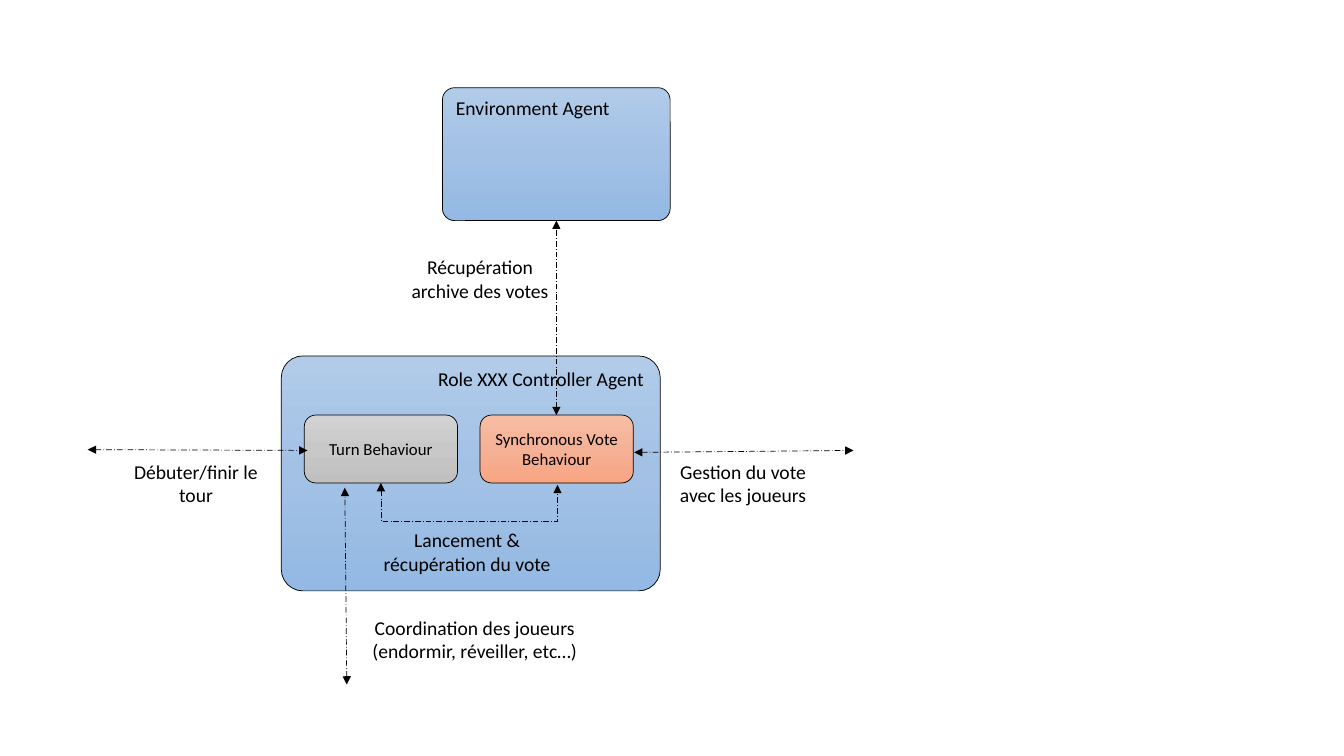
from collections import namedtuple
from copy import deepcopy

from lxml.etree import SubElement
from pptx import Presentation
from pptx.dml.color import RGBColor
from pptx.enum.dml import MSO_LINE_DASH_STYLE as Dash
from pptx.enum.shapes import MSO_CONNECTOR as Connector, MSO_SHAPE as Shape
from pptx.enum.text import MSO_ANCHOR as Anchor, PP_ALIGN as Align
from pptx.oxml.ns import qn
from pptx.util import Cm, Pt

Box = namedtuple("Box", "left top width height")  # centimetres

BLUE = ("B1CBE9", "A3C1E5", "93B9E4")
GREY = ("D2D2D2", "C8C8C8", "C0C0C0")
ORANGE = ("F7BDA5", "F5B196", "F8A582")
BLACK = "000000"
AGENT_CORNER = 0.092
BEHAVIOUR_CORNER = 0.167


def colour(value):
    return RGBColor.from_string(value)


def write(shape, text, size, align, anchor):
    frame = shape.text_frame
    frame.word_wrap = True
    frame.vertical_anchor = anchor
    frame.text = text
    para = frame.paragraphs[0]
    para.alignment = align
    for span in para.runs:
        span.font.name = "Calibri"
        span.font.size = Pt(size)
        span.font.color.rgb = colour(BLACK)


def fill_gradient(shape, colours):
    """Shade from top to bottom through three evenly spaced colours."""
    shape.fill.gradient()
    shape.fill.gradient_angle = 270
    first = shape.element.find(".//" + qn("a:gs"))
    first.addnext(deepcopy(first))
    for index, (stop, value) in enumerate(zip(shape.fill.gradient_stops, colours)):
        stop.color.rgb = colour(value)
        stop.position = index / 2


def add_panel(page, box, colours, corner, text, size, align, anchor):
    panel = page.shapes.add_shape(Shape.ROUNDED_RECTANGLE, *map(Cm, box))
    panel.adjustments[0] = corner
    panel.shadow.inherit = False
    fill_gradient(panel, colours)
    panel.line.color.rgb = colour(BLACK)
    panel.line.width = Pt(0.5)
    write(panel, text, size, align, anchor)


def add_label(page, left, top, width, text):
    label = page.shapes.add_textbox(Cm(left), Cm(top), Cm(width), Cm(1.45))
    write(label, text, 14, Align.CENTER, Anchor.TOP)


def add_arrow(page, start, end, kind=Connector.STRAIGHT):
    """Draw a thin dashed connector with a triangle at both ends."""
    arrow = page.shapes.add_connector(kind, *map(Cm, start + end))
    arrow.line.color.rgb = colour(BLACK)
    arrow.line.width = Pt(0.5)
    arrow.line.dash_style = Dash.LONG_DASH_DOT
    line = arrow.line._get_or_add_ln()
    for tip in ("a:headEnd", "a:tailEnd"):
        SubElement(line, qn(tip), type="triangle")
    SubElement(arrow.element.spPr, qn("a:effectLst"))
    return arrow


def add_loop(page, start, end, drop):
    """Join two points by an elbow that hangs drop below the start."""
    rise, span = end[1] - start[1], end[0] - start[0]
    middle_x, middle_y = (start[0] + end[0]) / 2, (start[1] + end[1]) / 2
    loop = add_arrow(page, start, end, Connector.ELBOW)
    loop.left, loop.top = Cm(middle_x - rise / 2), Cm(middle_y - span / 2)
    loop.width, loop.height = Cm(rise), Cm(span)
    frame = loop.element.spPr.find(qn("a:xfrm"))
    frame.set("rot", "16200000")
    frame.set("flipH", "1")
    guides = loop.element.spPr.find(qn("a:prstGeom")).get_or_add_avLst()
    SubElement(guides, qn("a:gd"), name="adj1",
               fmla=f"val {round(drop / rise * 100000)}")


def add_controller_agent(page, box):
    add_panel(page, box, BLUE, AGENT_CORNER, "Role XXX Controller Agent", 14,
              Align.RIGHT, Anchor.TOP)
    behaviours = (("Turn Behaviour", GREY), ("Synchronous Vote Behaviour", ORANGE))
    for index, (text, colours) in enumerate(behaviours):
        place = Box(box.left + 0.58 + index * 4.43, box.top + 1.49, 3.86, 1.71)
        add_panel(page, place, colours, BEHAVIOUR_CORNER, text, 12,
                  Align.CENTER, Anchor.MIDDLE)
    add_loop(page, (box.left + 2.51, box.top + 3.2),
             (box.left + 6.96, box.top + 3.25), 0.96)
    add_label(page, box.left + 2.26, box.top + 4.21, 4.85,
              "Lancement & récupération du vote")


def add_player_exchanges(page, box):
    """Place the messages between the controller box and the players."""
    right, bottom = box.left + box.width, box.top + box.height
    label_top = box.top + 2.49
    add_arrow(page, (right - 0.66, box.top + 2.43), (right + 4.87, box.top + 2.38))
    add_label(page, right + 0.02, label_top, 4.14, "Gestion du vote avec les joueurs")
    add_arrow(page, (box.left - 4.88, box.top + 2.36), (box.left + 0.66, box.top + 2.38))
    add_label(page, box.left - 4.22, label_top, 4.14, "Débuter/finir le tour")
    add_arrow(page, (box.left + 1.65, bottom + 2.36), (box.left + 1.6, bottom - 2.6))
    add_label(page, box.left + 1.6, bottom + 0.5, 6.55,
              "Coordination des joueurs (endormir, réveiller, etc…)")


def add_environment_agent(page, box, vote_top):
    """Draw the environment box and its link down to the vote behaviour."""
    add_panel(page, box, BLUE, AGENT_CORNER, "Environment Agent", 14,
              Align.LEFT, Anchor.TOP)
    middle, bottom = box.left + box.width / 2, box.top + box.height
    add_arrow(page, (middle, vote_top), (middle, bottom))
    add_label(page, middle - 3.99, bottom + 0.74, 4.14, "Récupération archive des votes")


def main():
    deck = Presentation()
    deck.slide_width, deck.slide_height = Cm(33.87), Cm(19.05)
    page = deck.slides.add_slide(deck.slide_layouts[6])
    controller = Box(7.09, 8.97, 9.55, 5.92)
    add_controller_agent(page, controller)
    add_player_exchanges(page, controller)
    add_environment_agent(page, Box(11.15, 2.21, 5.74, 3.35), controller.top + 1.49)
    deck.save("out.pptx")


if __name__ == "__main__":
    main()
